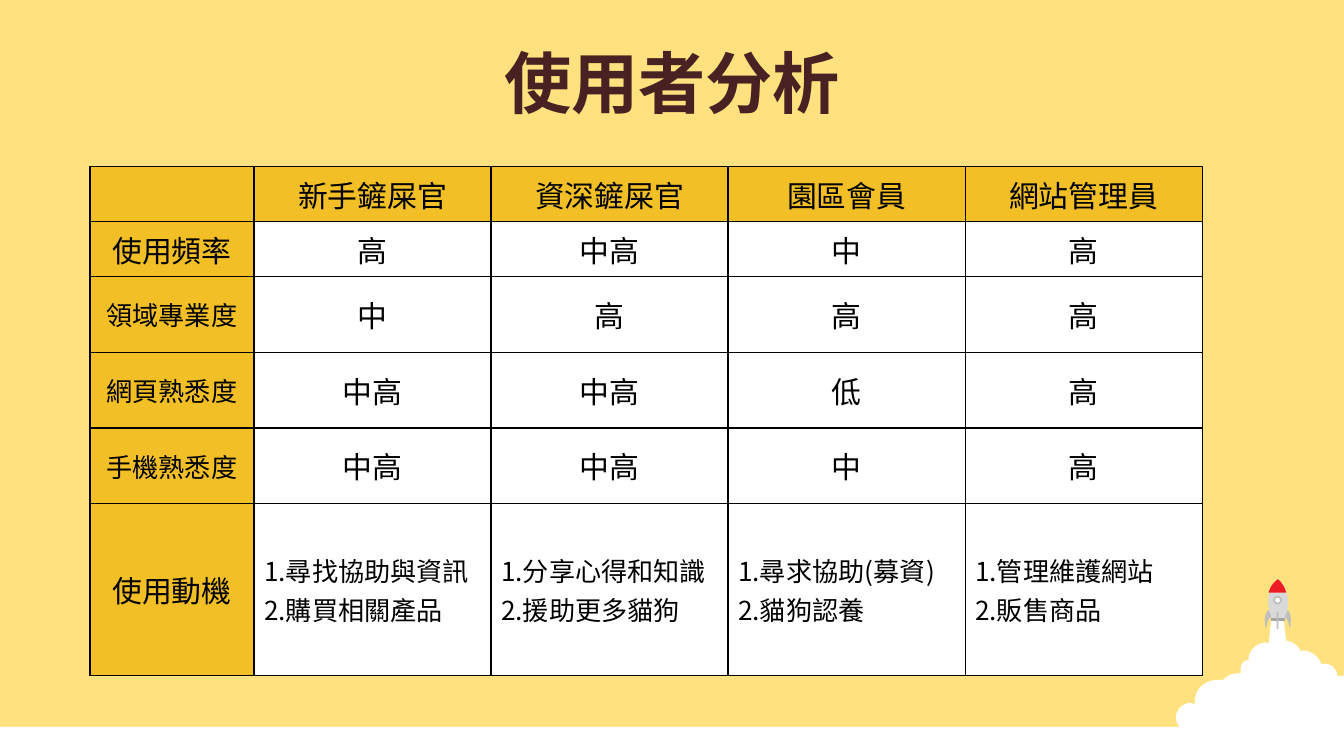
import pptx
import pptx.util
import pptx.dml.color
import pptx.enum.shapes
import pptx.enum.text
import pptx.oxml.ns
from lxml import etree
from pptx.util import Cm

COLORS = {
    "background": "FFE27F", "header": "F2BF27", "title": "482222",
    "white": "FFFFFF", "black": "000000", "red": "ED1C24",
    "body": "D9D9D9", "nozzle": "A6A6A6", "fin": "BFBFBF",
}
RGB = {name: pptx.dml.color.RGBColor.from_string(value) for name, value in COLORS.items()}
FONT = "Noto Sans CJK SC"
qn = pptx.oxml.ns.qn


def format_paragraph(paragraph, size, color, alignment, font=FONT, bold=False):
    paragraph.alignment = alignment
    paragraph.font.size = pptx.util.Pt(size)
    paragraph.font.bold = bold
    paragraph.font.name = font
    paragraph.font.color.rgb = RGB[color]
    defaults = paragraph._p.pPr.find(qn("a:defRPr"))
    etree.SubElement(defaults, qn("a:ea"), typeface=FONT)


def draw_outline(shapes, color, outline):
    """Points in hundredths of an inch; six numbers make a Bezier curve."""
    points = [outline[0]]
    for step in outline[1:]:
        if len(step) == 2:
            points.append(step)
            continue
        start, controls = points[-1], (step[:2], step[2:4], step[4:])
        for t in (i / 8 for i in range(1, 9)):
            weights = ((1 - t) ** 3, 3 * t * (1 - t) ** 2, 3 * t * t * (1 - t), t ** 3)
            points.append(tuple(sum(w * p[axis] for w, p in zip(weights, (start, *controls)))
                                for axis in (0, 1)))
    points = [(Cm(x * 0.0254), Cm(y * 0.0254)) for x, y in points]
    builder = shapes.build_freeform(*points[0])
    builder.add_line_segments(points[1:], close=True)
    shape = builder.convert_to_shape()
    shape.shadow.inherit = False
    shape.fill.solid()
    shape.fill.fore_color.rgb = RGB[color]
    shape.line.fill.background()


presentation = pptx.Presentation()
presentation.slide_width = Cm(25.4)
presentation.slide_height = Cm(14.29)
slide = presentation.slides.add_slide(presentation.slide_layouts[5])
slide.background.fill.solid()
slide.background.fill.fore_color.rgb = RGB["background"]

# Title
title = slide.shapes.title
title.left, title.top, title.width, title.height = Cm(0), Cm(0.74), Cm(25.4), Cm(1.6)
title.text_frame.text = "使用者分析"
title.text_frame.vertical_anchor = pptx.enum.text.MSO_ANCHOR.MIDDLE
format_paragraph(title.text_frame.paragraphs[0], 36, "title",
                 pptx.enum.text.PP_ALIGN.CENTER, "Times New Roman", True)

# White ground strip, then cloud and rocket
ground = slide.shapes.add_shape(pptx.enum.shapes.MSO_SHAPE.RECTANGLE,
                                Cm(0), Cm(13.74), Cm(25.4), Cm(0.55))
rocket = slide.shapes.add_group_shape().shapes
draw_outline(rocket, "white", [
    (946, 459), (955, 459), (957, 477), (959, 477), (962, 478, 965, 480, 967, 483),
    (968, 485), (969, 484), (975, 484, 981, 488, 983, 494), (986, 494),
    (990, 494, 994, 497, 995, 502), (995, 503), (1000, 503), (1000, 560),
    (998, 560), (994, 560, 990, 559, 987, 557), (986, 556), (985, 557),
    (983, 558, 981, 559, 978, 559), (975, 559, 973, 557, 971, 555), (969, 554),
    (967, 558, 964, 559, 960, 559), (957, 559, 954, 558, 952, 556), (951, 555),
    (949, 556), (945, 559, 940, 561, 934, 561), (923, 561, 917, 556, 913, 551),
    (911, 553, 907, 554, 904, 553), (900, 552, 894, 550, 893, 545), (893, 543),
    (891, 545, 889, 545, 886, 545), (880, 545, 875, 540, 875, 534),
    (875, 528, 880, 523, 886, 523), (889, 524), (889, 522),
    (889, 513, 896, 506, 906, 506), (910, 506), (911, 505),
    (914, 502, 918, 501, 923, 501), (923, 498), (923, 495, 925, 492, 928, 491),
    (929, 491), (929, 489), (930, 483, 936, 478, 942, 478), (944, 479)])
draw_outline(rocket, "body", [(946, 462), (944, 453, 940, 440, 951, 431),
                              (962, 441, 958, 454, 956, 462)])
draw_outline(rocket, "nozzle", [(946, 460), (956, 460), (956, 462), (946, 462)])
draw_outline(rocket, "red", [(951, 431), (954, 434, 956, 437, 957, 441), (944, 441),
                             (945, 437, 947, 434, 951, 431)])
window = rocket.add_shape(pptx.enum.shapes.MSO_SHAPE.OVAL,
                          Cm(24.08), Cm(11.28), Cm(0.13), Cm(0.13))
flame = rocket.add_shape(pptx.enum.shapes.MSO_SHAPE.RECTANGLE,
                         Cm(24.13), Cm(11.56), Cm(0.03), Cm(0.33))
for shape, color in ((ground, "white"), (window, "white"), (flame, "fin")):
    shape.shadow.inherit = False
    shape.fill.solid()
    shape.fill.fore_color.rgb = RGB[color]
    shape.line.fill.background()
window.line.color.rgb = RGB["fin"]
window.line.width = pptx.util.Pt(1)
draw_outline(rocket, "fin", [(944, 454), (946, 459), (942, 461, 943, 466, 942, 468),
                             (941, 465, 940, 457, 944, 454)])
draw_outline(rocket, "fin", [(958, 454), (956, 459), (959, 461, 959, 466, 960, 468),
                             (960, 465, 962, 457, 958, 454)])

# User analysis table
ROWS = [
    ["", "新手鏟屎官", "資深鏟屎官", "園區會員", "網站管理員"],
    ["使用頻率", "高", "中高", "中", "高"],
    ["領域專業度", "中", "高", "高", "高"],
    ["網頁熟悉度", "中高", "中高", "低", "高"],
    ["手機熟悉度", "中高", "中高", "中", "高"],
    ["使用動機", "1.尋找協助與資訊\n2.購買相關產品", "1.分享心得和知識\n2.援助更多貓狗",
     "尋求協助(募資)\n貓狗認養", "管理維護網站\n販售商品"],
]
COLUMN_WIDTHS = [3.1] + [4.48] * 4
ROW_HEIGHTS = [1.04] * 2 + [1.43] * 3 + [3.25]
table = slide.shapes.add_table(len(ROWS), len(COLUMN_WIDTHS), Cm(1.7), Cm(3.15),
                               Cm(sum(COLUMN_WIDTHS)), Cm(sum(ROW_HEIGHTS))).table
table.first_row = table.horz_banding = False
for column, width in zip(table.columns, COLUMN_WIDTHS):
    column.width = Cm(width)
for row, height in zip(table.rows, ROW_HEIGHTS):
    row.height = Cm(height)

for i, texts in enumerate(ROWS):
    for j, text in enumerate(texts):
        cell = table.cell(i, j)
        motive = i == 5 and j > 0
        numbered = motive and j > 2
        cell.text = text
        cell.vertical_anchor = pptx.enum.text.MSO_ANCHOR.MIDDLE
        cell.margin_left = cell.margin_right = Cm(0.19)
        cell.margin_top = cell.margin_bottom = Cm(0.1 if text else 0)

        # Cell borders
        properties = cell._tc.get_or_add_tcPr()
        for side in "LRTB":
            border = etree.SubElement(properties, qn(f"a:ln{side}"), w=str(pptx.util.Pt(0.75)))
            border_fill = etree.SubElement(border, qn("a:solidFill"))
            etree.SubElement(border_fill, qn("a:srgbClr"), val=COLORS["black"])
        cell.fill.solid()
        cell.fill.fore_color.rgb = RGB["header" if i == 0 or j == 0 else "white"]

        for paragraph in cell.text_frame.paragraphs:
            if numbered:
                bullet = paragraph._p.get_or_add_pPr()
                bullet.set("marL", "0")
                bullet.set("indent", str(Cm(-0.3)))
                bullet_color = etree.SubElement(bullet, qn("a:buClr"))
                etree.SubElement(bullet_color, qn("a:srgbClr"), val=COLORS["black"])
                etree.SubElement(bullet, qn("a:buAutoNum"), type="arabicPeriod")
            small = motive or (j == 0 and len(text) > 4)
            format_paragraph(paragraph, 14 if small else 16, "black",
                             pptx.enum.text.PP_ALIGN.LEFT if motive
                             else pptx.enum.text.PP_ALIGN.CENTER)

presentation.save("out.pptx")
